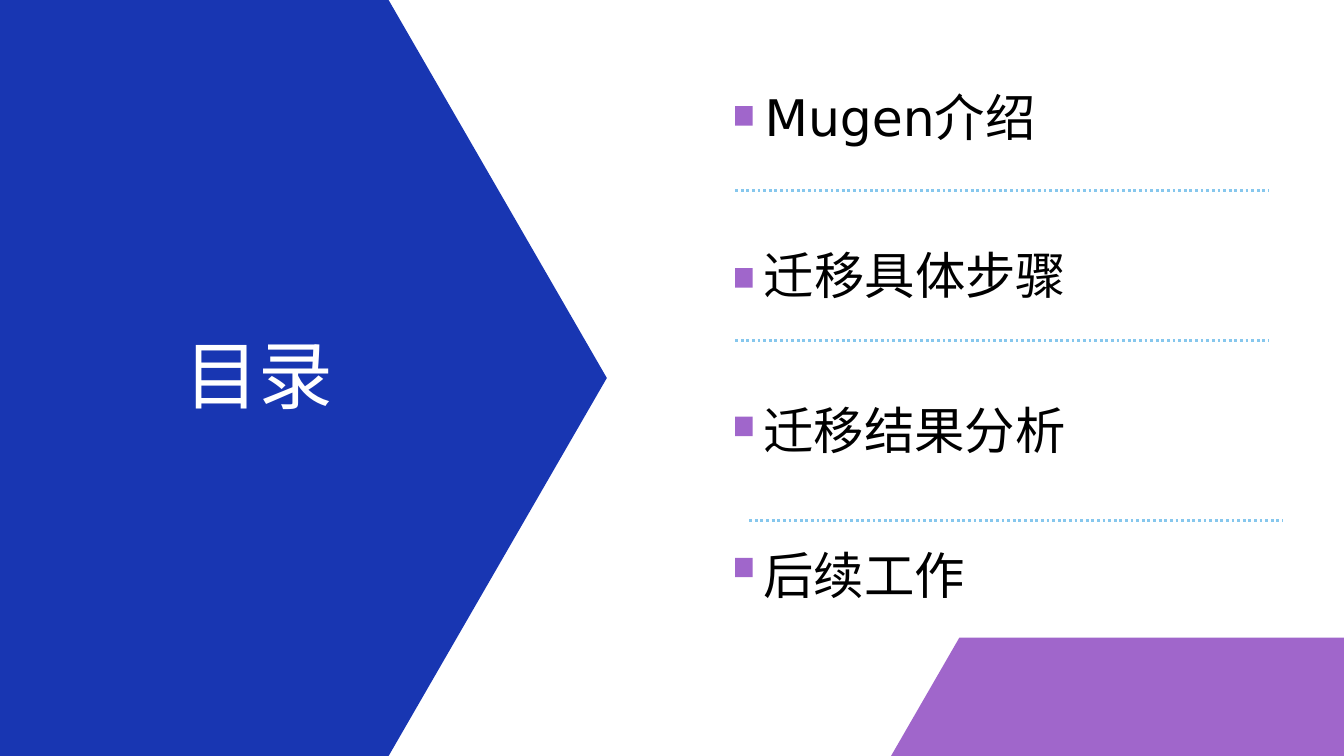
from math import sqrt

from lxml.etree import SubElement
from pptx import Presentation
from pptx.dml.color import RGBColor
from pptx.enum.dml import MSO_LINE
from pptx.enum.shapes import MSO_CONNECTOR, MSO_SHAPE
from pptx.enum.text import MSO_ANCHOR, MSO_AUTO_SIZE, PP_ALIGN
from pptx.oxml.ns import qn
from pptx.util import Inches, Pt

BLUE = RGBColor(0x18, 0x36, 0xB2)
PURPLE = RGBColor(0xA0, 0x66, 0xCB)
SKY = RGBColor(0x86, 0xC7, 0xED)
BLACK = RGBColor(0, 0, 0)
WHITE = RGBColor(0xFF, 0xFF, 0xFF)

# Content
HEADING = "目录"
# text, font, text left, text top, text width, bullet top
ITEMS = [
    ("Mugen介绍", "DejaVu Sans", 11.28, 1.23, 6.6, 1.58),
    ("迁移具体步骤", "Arial", 11.27, 3.59, 5.85, 3.99),
    ("迁移结果分析", "Arial", 11.26, 5.89, 5.85, 6.2),
    ("后续工作", "Arial", 11.26, 8.05, 5.85, 8.3),
]
RULES = [(10.94, 2.83), (10.94, 5.07), (11.15, 7.74)]  # left, top
RULE_WIDTH = 7.93
# left, top, width, height, colour
HEXAGONS = [
    (-3.26, 0, 12.29, 11.25, BLUE),
    (12.31, 9.49, 10.74, 6.81, PURPLE),
]


def paint(shape, color):
    shape.shadow.inherit = False
    shape.fill.solid()
    shape.fill.fore_color.rgb = color
    shape.line.fill.background()


def add_hexagon(shapes, left, top, width, height, color):
    inset = height / (2 * sqrt(3))  # sides slope at 60 degrees
    right, low, mid = left + width, top + height, top + height / 2
    points = [(left + inset, top), (left, mid), (left + inset, low),
              (right - inset, low), (right, mid), (right - inset, top)]
    points = [(Inches(x), Inches(y)) for x, y in points]
    pen = shapes.build_freeform(*points[0])
    pen.add_line_segments(points[1:], close=True)
    paint(pen.convert_to_shape(), color)


def add_rule(shapes, left, top):
    rule = shapes.add_connector(MSO_CONNECTOR.STRAIGHT, Inches(left), Inches(top),
                                Inches(left + RULE_WIDTH), Inches(top))
    rule.line.color.rgb = SKY
    rule.line.width = Pt(3)
    rule.line.dash_style = MSO_LINE.ROUND_DOT
    SubElement(rule.element.spPr, qn("a:effectLst"))


def write(frame, text, font, size, color):
    frame.word_wrap = True
    frame.auto_size = MSO_AUTO_SIZE.SHAPE_TO_FIT_TEXT
    frame.vertical_anchor = MSO_ANCHOR.TOP
    para = frame.paragraphs[0]
    para.alignment = PP_ALIGN.LEFT
    run = para.add_run()
    run.text = text
    run.font.name = font
    run.font.size = Pt(size)
    run.font.color.rgb = color


def main():
    deck = Presentation()
    deck.slide_width, deck.slide_height = Inches(20), Inches(11.25)
    slide = deck.slides.add_slide(deck.slide_layouts[5])
    shapes = slide.shapes

    # Background panels
    for hexagon in HEXAGONS:
        add_hexagon(shapes, *hexagon)

    # Heading, brought in front of the blue panel
    title = shapes.title
    title.left, title.top = Inches(2.74), Inches(5)
    title.width, title.height = Inches(6.1), Inches(1.22)
    frame = title.text_frame
    frame.margin_left = frame.margin_right = 0
    frame.margin_top = frame.margin_bottom = 0
    write(frame, HEADING, "Cabin", 80, WHITE)
    frame.paragraphs[0].line_spacing = Pt(88)
    title.element.getparent().append(title.element)

    # Agenda items with square bullets
    for text, font, left, top, width, mark in ITEMS:
        square = shapes.add_shape(MSO_SHAPE.RECTANGLE, Inches(10.94), Inches(mark),
                                  Inches(0.26), Inches(0.29))
        paint(square, PURPLE)
        box = shapes.add_textbox(Inches(left), Inches(top), Inches(width), Inches(1.01))
        write(box.text_frame, text, font, 54, BLACK)

    # Dotted rules between items
    for left, top in RULES:
        add_rule(shapes, left, top)

    deck.save("out.pptx")


if __name__ == "__main__":
    main()
